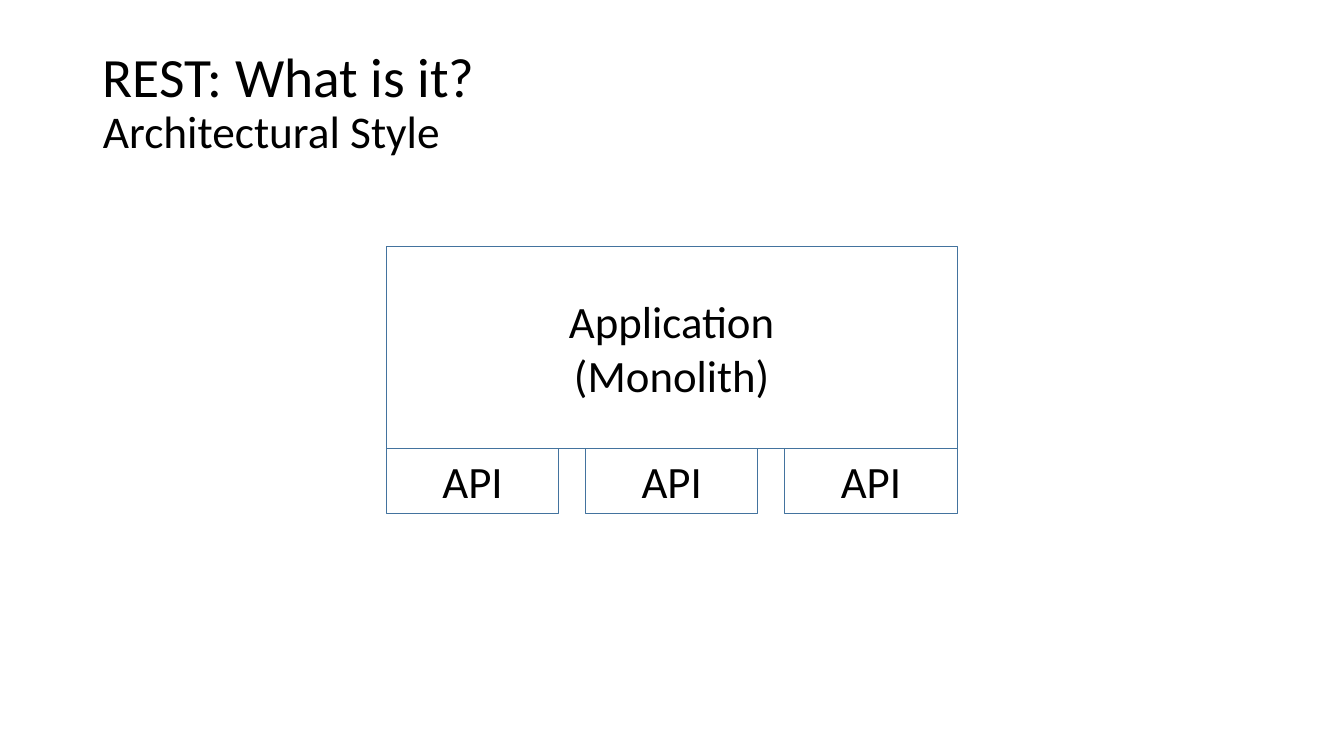
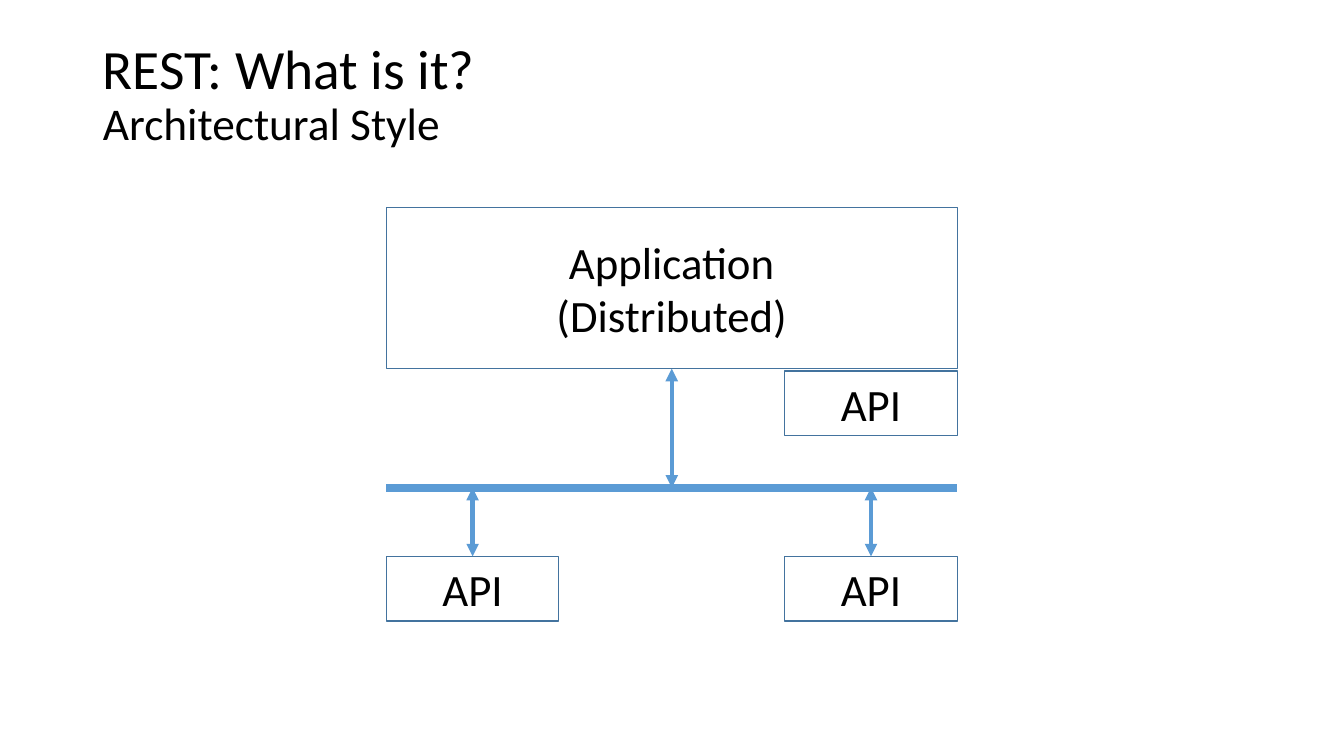
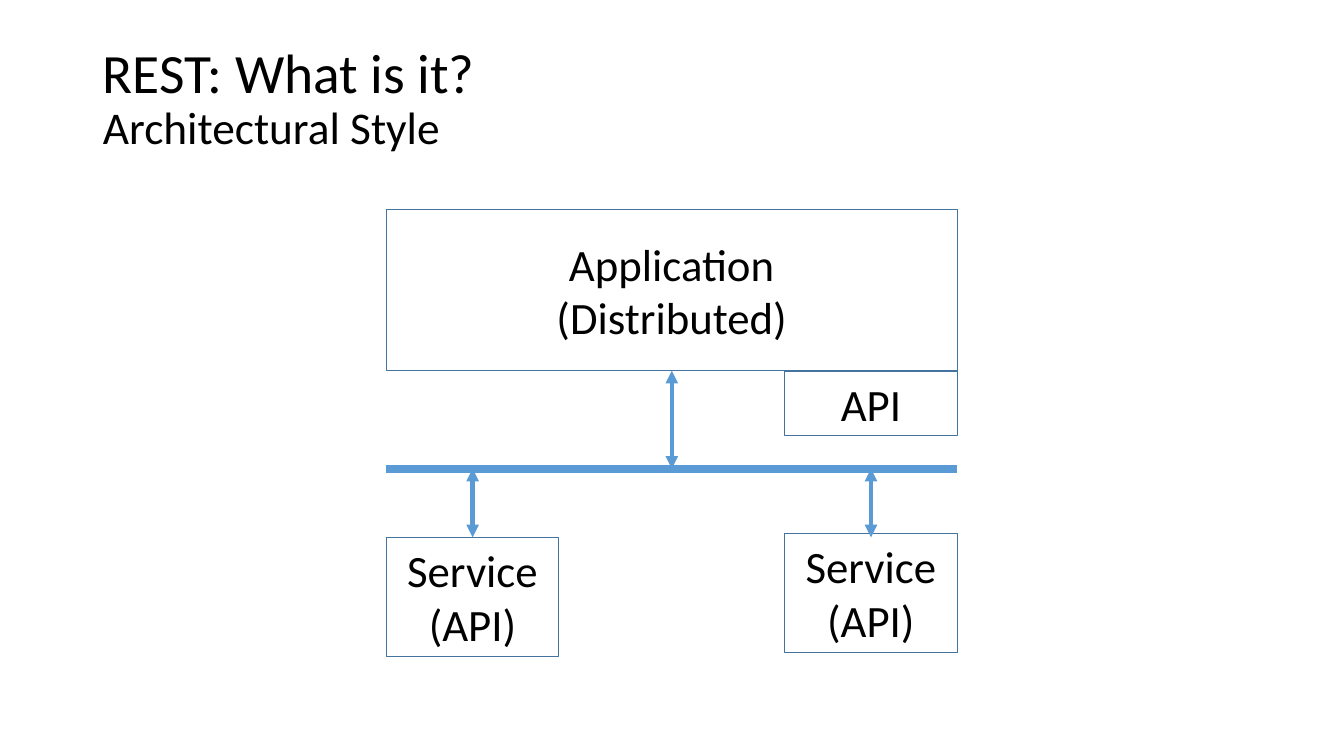
from dataclasses import dataclass

from lxml.etree import SubElement
from pptx import Presentation
from pptx.dml.color import RGBColor
from pptx.enum.shapes import MSO_CONNECTOR as Link, MSO_SHAPE as Form
from pptx.enum.text import MSO_ANCHOR as Anchor, MSO_AUTO_SIZE as Fit, PP_ALIGN as Align
from pptx.oxml.ns import qn
from pptx.util import Cm, Pt


@dataclass(frozen=True)
class Theme:
    font: str = "Calibri"
    ink: RGBColor = RGBColor(0, 0, 0)
    edge: RGBColor = RGBColor(0x43, 0x73, 0x9E)
    blue: RGBColor = RGBColor(0x5B, 0x9B, 0xD5)
    head: float = 39.6
    sub: float = 32.4
    label: float = 32
    thin: float = 0.75
    arrow: float = 3
    bus: float = 5.75


THEME = Theme()

# Diagram grid in cm: three columns spread evenly over the application's width
LEFT, WIDE, CELL = 9.74, 14.38, 4.34
STEP = (WIDE - CELL) / 2
COLS = [LEFT + i * STEP for i in range(3)]
MID = LEFT + WIDE / 2
API_H, SERVICE_H = 1.63, 3


def add_run(para, text, size):
    run = para.add_run()
    run.text = text
    font = run.font
    font.name, font.size, font.color.rgb = THEME.font, Pt(size), THEME.ink


def add_title(slide, top, height):
    title = slide.shapes.title
    title.left, title.top = Cm(2.34), Cm(top)
    title.width, title.height = Cm(29.21), Cm(height)
    frame = title.text_frame
    frame.auto_size, frame.vertical_anchor = Fit.NONE, Anchor.MIDDLE
    para = frame.paragraphs[0]
    para.alignment, para.line_spacing = Align.LEFT, 0.9
    para.space_before = Pt(0)
    add_run(para, "REST: What is it?", THEME.head)
    para.add_line_break()
    # The break carries a size of its own, which sets the line height
    mark = para._p.find(qn("a:br"))
    SubElement(mark, qn("a:rPr"), sz=str(round(THEME.head * 100)))
    add_run(para, "Architectural Style", THEME.sub)


def add_box(slide, left, top, width, height, *lines):
    box = slide.shapes.add_shape(Form.RECTANGLE, Cm(left), Cm(top), Cm(width), Cm(height))
    box.shadow.inherit = False
    box.fill.background()
    box.line.color.rgb, box.line.width = THEME.edge, Pt(THEME.thin)
    frame = box.text_frame
    frame.word_wrap = True
    frame.auto_size, frame.vertical_anchor = Fit.SHAPE_TO_FIT_TEXT, Anchor.MIDDLE
    for i, text in enumerate(lines):
        para = frame.add_paragraph() if i else frame.paragraphs[0]
        para.alignment = Align.CENTER
        add_run(para, text, THEME.label)


def add_line(slide, start, end, weight):
    ends = [Cm(v) for v in (*start, *end)]
    line = slide.shapes.add_connector(Link.STRAIGHT, *ends)
    line.line.color.rgb, line.line.width = THEME.blue, Pt(weight)
    SubElement(line._element.spPr, qn("a:effectLst"))
    return line


def add_arrow(slide, x, top, bottom):
    """Draw an upright arrow with a head at both ends."""
    line = add_line(slide, (x, top), (x, bottom), THEME.arrow)
    stroke = line.line._get_or_add_ln()
    for tag in ("a:headEnd", "a:tailEnd"):
        SubElement(stroke, qn(tag), type="triangle")


def add_app(slide, top, height, kind):
    add_box(slide, LEFT, top, WIDE, height, "Application", kind)


def add_spread(slide, top, bus, nodes, height, *lines):
    """Draw a distributed application, its own API, and a bus to two nodes."""
    base = top + 4.06
    for x, y in zip(COLS[::2], nodes):
        add_box(slide, x, y, CELL, height, *lines)
    add_box(slide, COLS[2], 9.35, CELL, API_H, "API")
    add_line(slide, (LEFT, bus), (LEFT + WIDE, bus), THEME.bus)
    add_arrow(slide, MID, base, bus)
    for x in COLS[::2]:
        add_arrow(slide, x + CELL / 2, bus, max(nodes))
    add_app(slide, top, base - top, "(Distributed)")


def main():
    deck = Presentation()
    deck.slide_width, deck.slide_height = Cm(33.87), Cm(19.05)

    def add_slide(top, height):
        slide = deck.slides.add_slide(deck.slide_layouts[5])
        add_title(slide, top, height)
        return slide

    slide = add_slide(1.02, 3.2)
    add_app(slide, 6.22, 5.08, "(Monolith)")
    for x in COLS:
        add_box(slide, x, 11.3, CELL, API_H, "API")

    slide = add_slide(1.14, 2.57)
    add_spread(slide, 5.23, 12.29, (14.02, 14.02), API_H, "API")

    slide = add_slide(1.14, 2.77)
    add_spread(slide, 5.28, 11.81, (13.54, 13.44), SERVICE_H, "Service", "(API)")

    deck.save("out.pptx")


if __name__ == "__main__":
    main()
